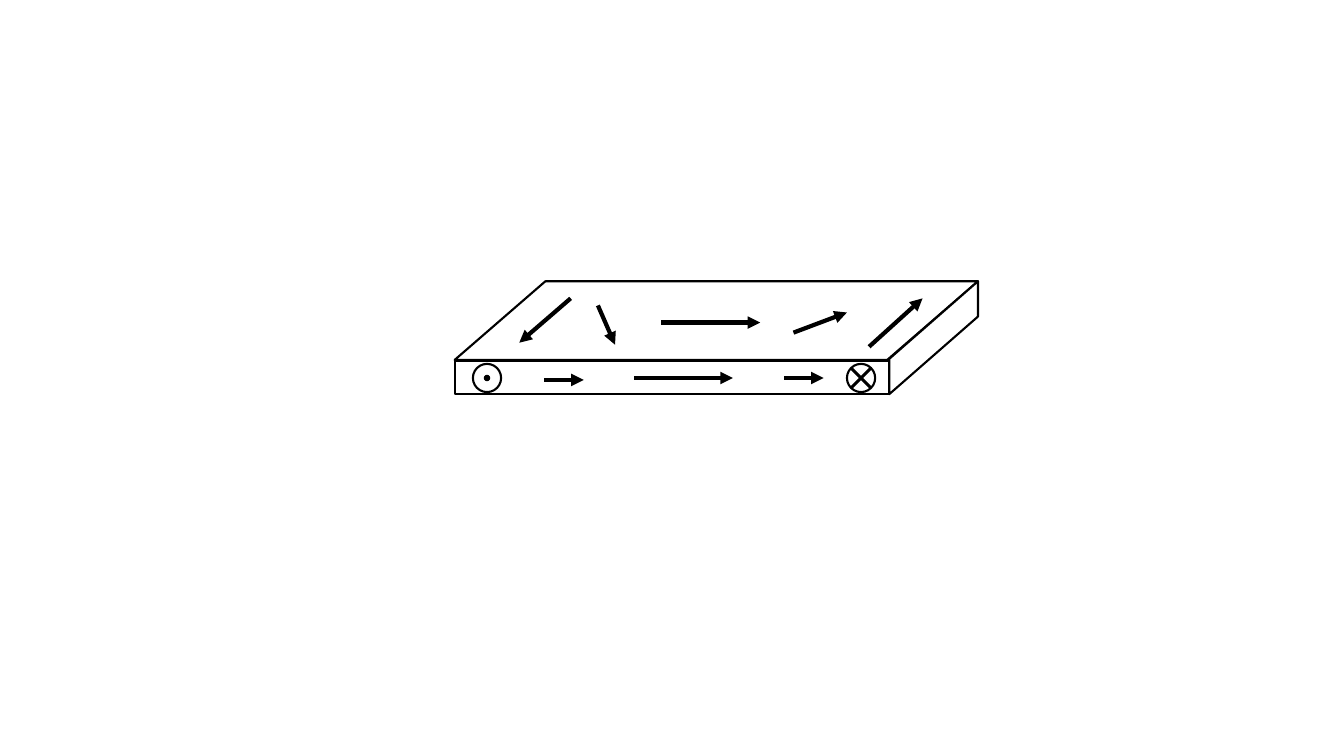
from lxml import etree
from pptx import Presentation
from pptx import util as u
from pptx.dml.color import RGBColor
from pptx.enum import shapes as kinds
from pptx.oxml.ns import qn

PX = 9144  # EMU per px, 100 px to the inch
BLACK = RGBColor(0, 0, 0)
WHITE = RGBColor(255, 255, 255)
KIND = kinds.MSO_SHAPE

# Slab: front face and how far the back is shifted
SLIDE = (1333, 750)
LEFT, TOP, FRONT_TOP, BOTTOM = 451, 279, 358, 391
FRONT_W, DEPTH, TOP_SKEW = 431, 88, 90
TOP_H = 78

# Arrows: x, y of tail, then x, y of tip
FRONT_ARROWS = [(629, 375, 727, 375), (778, 375, 817, 375), (540, 377, 579, 377)]
TOP_ARROWS = [(566, 296, 515, 340), (593, 303, 610, 342), (656, 320, 754, 320),
              (787, 330, 840, 310), (862, 344, 915, 296)]

# Symbols for directions out of and into the front face: centre x, y
OUTWARD = (483, 375)
INWARD = (854, 375)
RING, DOT, CROSS = 28, 5, 20


def add_face(parent, kind, x, y, w, h, fill=WHITE, line=BLACK, weight=1.5):
    face = parent.add_shape(kind, *(round(v * PX) for v in (x, y, w, h)))
    face.shadow.inherit = False
    face.fill.solid()
    face.fill.fore_color.rgb = fill
    face.line.color.rgb = line
    face.line.width = u.Pt(weight)
    return face


def add_disc(parent, centre, size, **style):
    x, y = centre
    return add_face(parent, KIND.OVAL, x - size / 2, y - size / 2, size, size, **style)


def add_stroke(parent, ends, weight, arrow=False):
    stroke = parent.add_connector(kinds.MSO_CONNECTOR.STRAIGHT, *(v * PX for v in ends))
    stroke.line.color.rgb = BLACK
    stroke.line.width = u.Pt(weight)
    if arrow:
        etree.SubElement(stroke.line._get_or_add_ln(), qn("a:tailEnd"), type="triangle")
    etree.SubElement(stroke._element.spPr, qn("a:effectLst"))


prs = Presentation()
prs.slide_width, prs.slide_height = (v * PX for v in SLIDE)
canvas = prs.slides.add_slide(prs.slide_layouts[6]).shapes

# Backing and front face
slab_w, slab_h = FRONT_W + DEPTH, BOTTOM - TOP
add_face(canvas, KIND.RECTANGLE, LEFT, TOP, slab_w, slab_h, line=WHITE, weight=1)
add_face(canvas, KIND.RECTANGLE, LEFT, FRONT_TOP, FRONT_W, BOTTOM - FRONT_TOP)
for ends in FRONT_ARROWS:
    add_stroke(canvas, ends, 3, arrow=True)

# Outward and inward symbols
add_disc(canvas, OUTWARD, RING)
add_disc(canvas, OUTWARD, DOT, fill=BLACK, weight=1)
inward = canvas.add_group_shape().shapes
add_disc(inward, INWARD, RING)
x, y = INWARD
arm = CROSS // 2
for rise in (arm, -arm):
    add_stroke(inward, (x - arm, y - rise, x + arm, y + rise), 2.25)

# Top face
top_face = add_face(canvas, KIND.PARALLELOGRAM, LEFT, TOP, slab_w, TOP_H)
top_face.adjustments[0] = TOP_SKEW / TOP_H

# Side face: a parallelogram turned upright about its centre
side_x, side_y = LEFT + FRONT_W + DEPTH / 2, TOP + slab_h / 2
side = add_face(canvas, KIND.PARALLELOGRAM, side_x - slab_h / 2, side_y - DEPTH / 2,
                slab_h, DEPTH)
side.adjustments[0] = (TOP_H - 1) / DEPTH
side.rotation = 90
side._element.spPr.find(qn("a:xfrm")).set("flipV", "1")

for ends in TOP_ARROWS:
    add_stroke(canvas, ends, 3, arrow=True)

prs.save("out.pptx")
